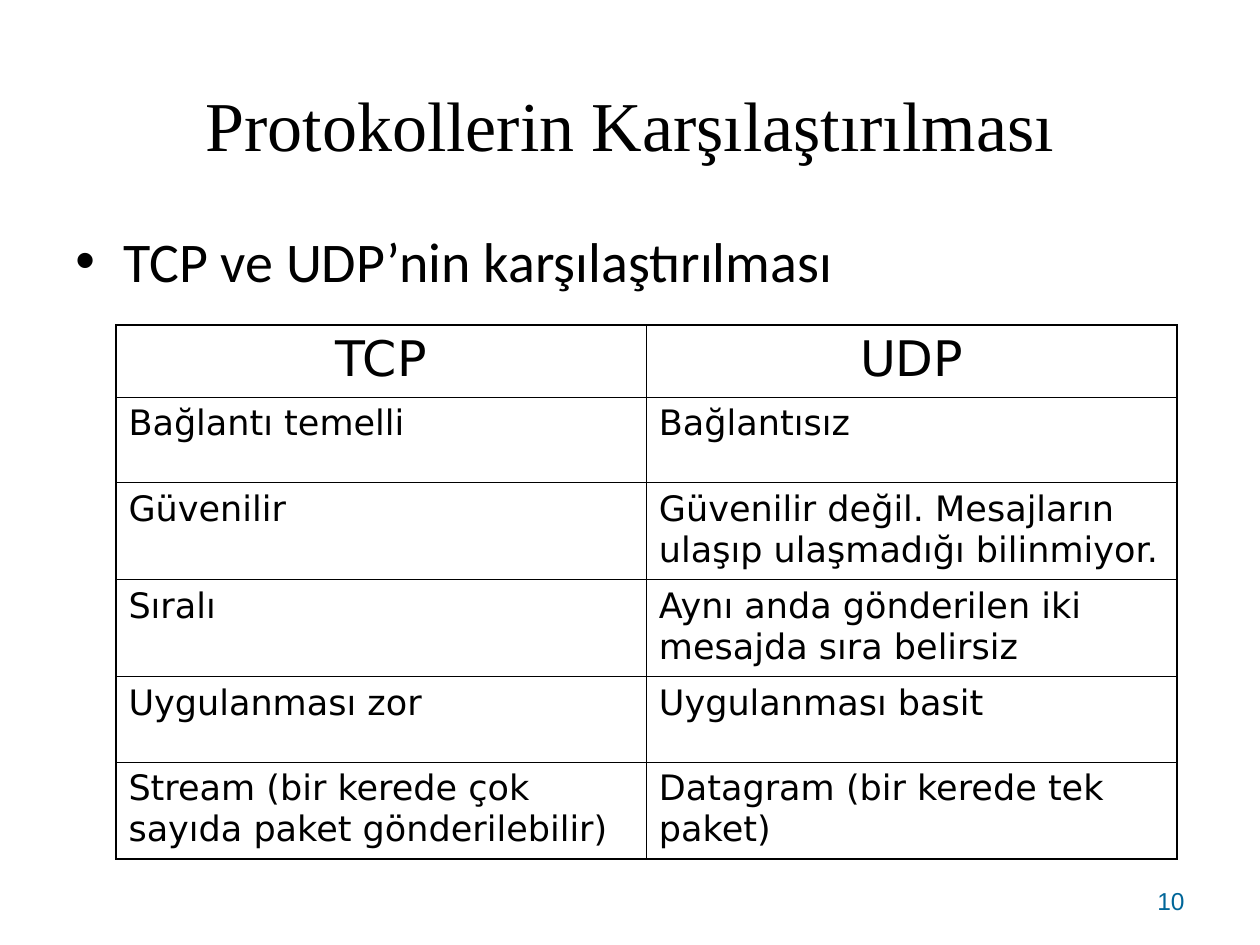
from lxml.etree import SubElement
from pptx import Presentation
from pptx.dml.color import RGBColor
from pptx.enum.text import MSO_ANCHOR as Anchor, PP_ALIGN as Align
from pptx.oxml.ns import qn
from pptx.util import Inches, Pt

TITLE = "Protokollerin Karşılaştırılması"
BULLET = "TCP ve UDP’nin karşılaştırılması"
PAGE_NUMBER = "10"
ROWS = [
    ("TCP", "UDP"),
    ("Bağlantı temelli", "Bağlantısız"),
    ("Güvenilir", "Güvenilir değil. Mesajların ulaşıp ulaşmadığı bilinmiyor."),
    ("Sıralı", "Aynı anda gönderilen iki mesajda sıra belirsiz"),
    ("Uygulanması zor", "Uygulanması basit"),
    ("Stream (bir kerede çok sayıda paket gönderilebilir)",
     "Datagram (bir kerede tek paket)"),
]
ROW_HEIGHTS = [0.57, 0.68, 0.77, 0.77, 0.68, 0.77]
COLUMN_WIDTH = 4.21
BLACK, BLUE = "000000", "006699"
OUTER_LINE, INNER_LINE = 1.08, 0.45


def color(value):
    return RGBColor.from_string(value)


def style(paragraph, font_name, size, font_color=BLACK, align=Align.LEFT):
    paragraph.alignment = align
    font = paragraph.font
    font.name, font.size = font_name, Pt(size)
    font.color.rgb = color(font_color)


def add_text(slide, box, text, anchor):
    """Add a wrapping text box; return its frame and its paragraph."""
    frame = slide.shapes.add_textbox(*map(Inches, box)).text_frame
    frame.word_wrap = True
    frame.vertical_anchor = anchor
    frame.text = text
    return frame, frame.paragraphs[0]


def add_bullet(paragraph, indent):
    properties = paragraph._p.get_or_add_pPr()
    properties.set("marL", str(Inches(indent)))
    properties.set("indent", str(-Inches(indent)))
    SubElement(properties, qn("a:buFont"), typeface="Arial")
    SubElement(properties, qn("a:buChar"), char="•")


def set_borders(cell, widths):
    """Draw the cell's left, right, top and bottom lines, in that order."""
    properties = cell._tc.get_or_add_tcPr()
    for index, (side, width) in enumerate(zip("LRTB", widths)):
        line = properties.makeelement(qn(f"a:ln{side}"), {"w": str(Pt(width))})
        fill = SubElement(line, qn("a:solidFill"))
        SubElement(fill, qn("a:srgbClr"), val=BLACK)
        properties.insert(index, line)


def add_comparison(slide):
    row_count, column_count = len(ROWS), len(ROWS[0])
    table = slide.shapes.add_table(
        row_count, column_count, Inches(0.92), Inches(2.58),
        Inches(COLUMN_WIDTH * column_count), Inches(sum(ROW_HEIGHTS))).table
    for column in table.columns:
        column.width = Inches(COLUMN_WIDTH)
    for r, (texts, height) in enumerate(zip(ROWS, ROW_HEIGHTS)):
        table.rows[r].height = Inches(height)
        for c, text in enumerate(texts):
            cell = table.cell(r, c)
            cell.text = text
            cell.fill.background()
            paragraph = cell.text_frame.paragraphs[0]
            if r == 0:
                style(paragraph, "DejaVu Sans", 28, align=Align.CENTER)
            else:
                style(paragraph, "DejaVu Sans", 20)
            paragraph.font.bold = False
            on_edge = (c == 0, c == column_count - 1, r == 0, r == row_count - 1)
            set_borders(cell, [OUTER_LINE if edge else INNER_LINE for edge in on_edge])


def main():
    presentation = Presentation()
    presentation.slide_width, presentation.slide_height = Inches(10), Inches(7.5)
    slide = presentation.slides.add_slide(presentation.slide_layouts[6])

    frame, paragraph = add_text(slide, (0.5, 0.3, 9, 1.25), TITLE, Anchor.MIDDLE)
    frame.margin_top = Inches(0.16)
    style(paragraph, "Times New Roman", 40, align=Align.CENTER)

    _, paragraph = add_text(slide, (0.5, 1.75, 9, 4.95), BULLET, Anchor.TOP)
    add_bullet(paragraph, 0.38)
    style(paragraph, "Calibri", 32)

    _, paragraph = add_text(slide, (7.17, 6.95, 2.33, 0.4), PAGE_NUMBER, Anchor.MIDDLE)
    style(paragraph, "Arial", 14, BLUE, Align.RIGHT)

    add_comparison(slide)
    presentation.save("out.pptx")


if __name__ == "__main__":
    main()
